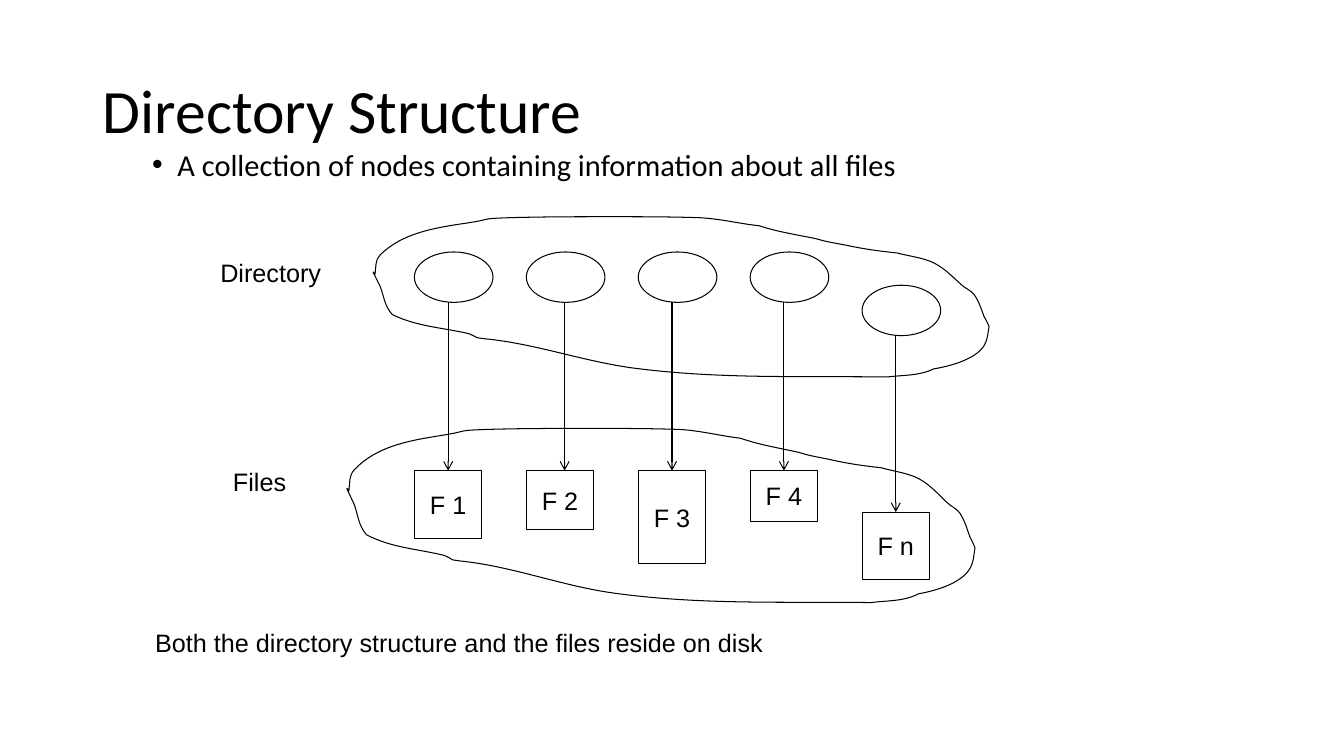
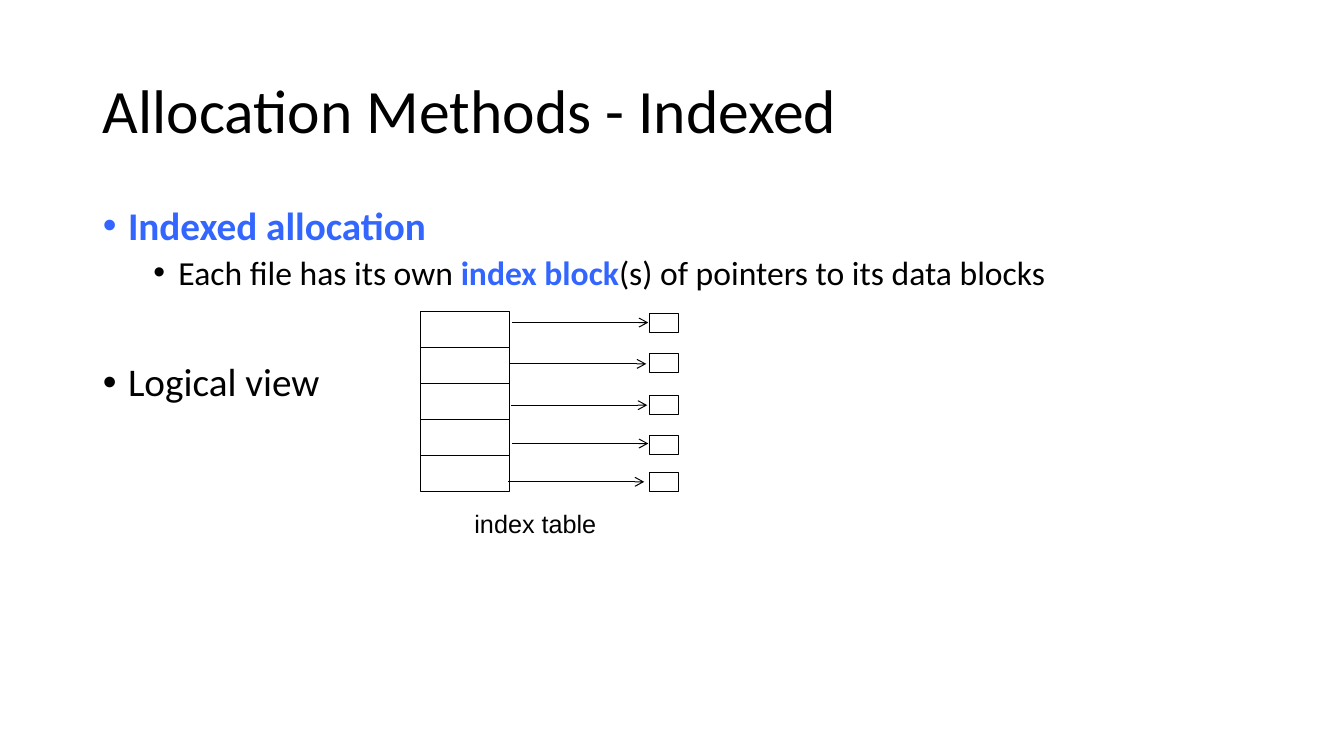
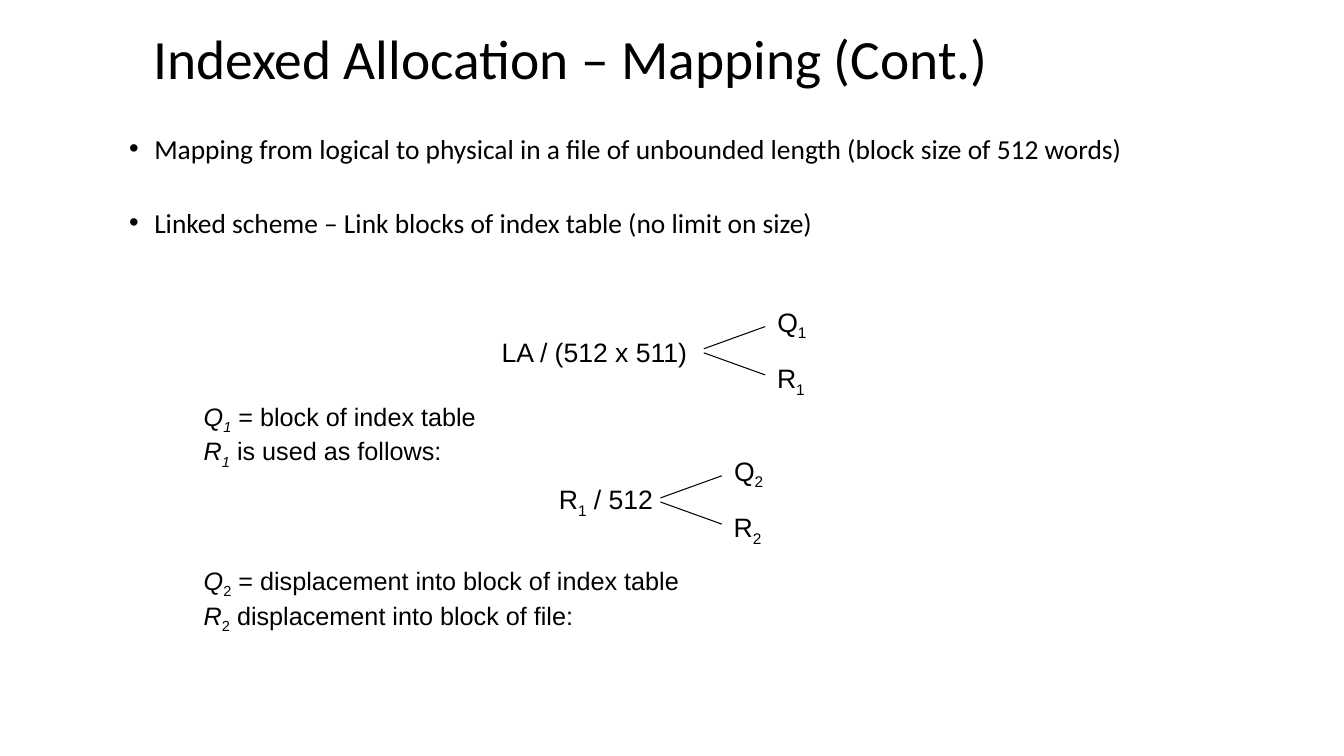
from lxml import etree
from pptx import Presentation
from pptx.dml.color import RGBColor
from pptx.enum.shapes import MSO_CONNECTOR, MSO_SHAPE
from pptx.enum.text import MSO_ANCHOR, MSO_AUTO_SIZE, PP_ALIGN
from pptx.oxml.ns import qn
from pptx.util import Inches, Pt

OVAL, RECT = MSO_SHAPE.OVAL, MSO_SHAPE.RECTANGLE
STRAIGHT = MSO_CONNECTOR.STRAIGHT
LEFT, CENTER = PP_ALIGN.LEFT, PP_ALIGN.CENTER
TOP, MIDDLE = MSO_ANCHOR.TOP, MSO_ANCHOR.MIDDLE
FIXED, GROW = MSO_AUTO_SIZE.NONE, MSO_AUTO_SIZE.SHAPE_TO_FIT_TEXT
TOP_SIDE = 0

BLACK, WHITE, KEY_BLUE = "000000", "FFFFFF", "3366FF"
HEADING_FONT, DIAGRAM_FONT = "Calibri", "Arial"
INSET, WIDE_INSET = (0.1, 0.05), (0.12, 0.06)
TITLE_BOX = (0.92, 0.4, 11.5, 1.45)

# Runs are (text, marks): i italic, s subscript, k key term.
# Bullets are (runs, level, space before in points).
NODE_BULLETS = [([("A collection of nodes containing information about all files", "")], 0, 0)]
INDEXED_BULLETS = [
    ([("Indexed allocation", "k")], 0, 0),
    ([("Each file has its own ", ""), ("index block", "k"),
      ("(s) of pointers to its data blocks", "")], 1, 5),
    ([("Logical view", "")], 0, 50.5),
]
MAPPING_BULLETS = [
    ([("Mapping from logical to physical in a file of unbounded length "
       "(block size of 512 words)", "")], 0, 0),
    ([("Linked scheme – Link blocks of index table (no limit on size)", "")], 0, 36.7),
]

# name, node top, file top, file height, arrow position
FILES = [("F 1", 2.5, 4.67, 0.67, 4.44), ("F 2", 2.5, 4.67, 0.58, 5.6),
         ("F 3", 2.5, 4.67, 0.92, 6.67), ("F 4", 2.5, 4.67, 0.5, 7.78),
         ("F n", 2.83, 5.08, 0.67, 8.89)]
FILE_LEFT, FILE_PITCH, FILE_WIDTH = 4.11, 1.11, 0.67
NODE_WIDTH, NODE_HEIGHT = 0.78, 0.5

DIRECTORY_CLOUD = (3.7, 2.15, 6.1, 1.61)
FILES_CLOUD = (3.44, 4.25, 6.22, 1.75)
CLOUD_START = (3.72, 2.72)
# Bezier curves drawn in the directory cloud's place: two handles and an end
CLOUD_CURVES = [
    (3.73, 2.65, 3.72, 2.58, 3.77, 2.53), (3.99, 2.31, 4.31, 2.26, 4.65, 2.21),
    (4.9, 2.17, 4.76, 2.17, 5.05, 2.16), (5.39, 2.15, 5.72, 2.15, 6.06, 2.15),
    (6.35, 2.15, 6.65, 2.15, 6.94, 2.16), (7.14, 2.17, 7.34, 2.22, 7.53, 2.24),
    (7.71, 2.3, 7.91, 2.33, 8.1, 2.37), (8.2, 2.4, 8.27, 2.41, 8.38, 2.43),
    (8.56, 2.47, 8.71, 2.49, 8.9, 2.51), (9.01, 2.54, 9.11, 2.55, 9.22, 2.59),
    (9.35, 2.64, 9.44, 2.74, 9.53, 2.82), (9.57, 2.86, 9.63, 2.88, 9.66, 2.92),
    (9.71, 2.99, 9.73, 3.06, 9.76, 3.14), (9.78, 3.17, 9.81, 3.24, 9.81, 3.24),
    (9.8, 3.28, 9.8, 3.37, 9.76, 3.43), (9.68, 3.56, 9.44, 3.63, 9.26, 3.66),
    (9.12, 3.73, 8.96, 3.72, 8.8, 3.74), (7.94, 3.73, 7.17, 3.76, 6.35, 3.66),
    (5.82, 3.6, 5.33, 3.41, 4.8, 3.36), (4.78, 3.36, 4.75, 3.35, 4.73, 3.35),
    (4.71, 3.34, 4.68, 3.32, 4.65, 3.31), (4.39, 3.25, 4.13, 3.24, 3.89, 3.12),
    (3.81, 3.03, 3.81, 2.94, 3.77, 2.84), (3.77, 2.84, 3.71, 2.72, 3.7, 2.7),
    (3.7, 2.69, 3.72, 2.71, 3.72, 2.72),
]

INDEX_LEFT, INDEX_TOP, INDEX_WIDTH, INDEX_HEIGHT = 4.17, 3.09, 0.88, 1.79
BLOCK_LEFT, BLOCK_WIDTH, BLOCK_HEIGHT = 6.44, 0.29, 0.19
POINTER_LENGTH = 1.35
# block top, pointer start
INDEX_ENTRIES = [(3.11, (5.08, 3.2)), (3.51, (5.06, 3.61)), (3.92, (5.07, 4.02)),
                 (4.32, (5.08, 4.4)), (4.69, (5.04, 4.78))]

# dividend runs, left, width, fork point, subscript of quotient and remainder
DIVISIONS = [
    ([("LA / (512 x 511)", "")], 4.84, 2.11, (6.98, 3.48), "1"),
    ([("R", ""), ("1", "s"), (" / 512", "")], 5.41, 1.2, (6.55, 4.96), "2"),
]
EXPLANATIONS = [
    (3.92, [[("Q", "i"), ("1", "is"), (" = block of index table", "")],
            [("R", "i"), ("1", "is"), (" is used as follows:", "")]]),
    (5.55, [[("Q", "i"), ("2", "s"), (" = displacement into block of index table", "")],
            [("R", "i"), ("2", "s"), (" displacement into block of file:", "")]]),
]


def rgb(color):
    return RGBColor.from_string(color)


def inches(values):
    return [Inches(value) for value in values]


def place(shape, box):
    shape.left, shape.top, shape.width, shape.height = inches(box)


def set_indent(paragraph, margin, first, bullet=None):
    properties = paragraph._p.get_or_add_pPr()
    properties.set("marL", str(Inches(margin)))
    properties.set("indent", str(Inches(first)))
    if bullet:
        etree.SubElement(properties, qn("a:buFont")).set("typeface", "Arial")
        etree.SubElement(properties, qn("a:buChar")).set("char", bullet)


def write(paragraph, runs, size, font=DIAGRAM_FONT, align=LEFT):
    paragraph.alignment = align
    all_key = all("k" in marks for _, marks in runs)
    paragraph.font.name, paragraph.font.size = font, Pt(size)
    paragraph.font.color.rgb = rgb(KEY_BLUE if all_key else BLACK)
    paragraph.font.bold = all_key
    for text, marks in runs:
        run = paragraph.add_run()
        run.text = text
        if "i" in marks:
            run.font.italic = True
        if "s" in marks:
            run._r.get_or_add_rPr().set("baseline", "-25000")
        if "k" in marks and not all_key:
            run.font.bold = True
            run.font.color.rgb = rgb(KEY_BLUE)


def start_slide(deck, title, bullets, body_box, sizes, spacing, title_box=TITLE_BOX, title_size=44):
    """Add a slide with title and bullets; sizes holds one font size per level."""
    slide = deck.slides.add_slide(deck.slide_layouts[1])
    heading, body = slide.placeholders
    for placeholder, box, anchor in ((heading, title_box, MIDDLE), (body, body_box, TOP)):
        place(placeholder, box)
        placeholder.text_frame.auto_size = FIXED
        placeholder.text_frame.vertical_anchor = anchor
    paragraph = heading.text_frame.paragraphs[0]
    paragraph.line_spacing = 0.9
    write(paragraph, [(title, "")], title_size, HEADING_FONT)
    for number, (runs, level, before) in enumerate(bullets):
        frame = body.text_frame
        paragraph = frame.add_paragraph() if number else frame.paragraphs[0]
        paragraph.level = level
        set_indent(paragraph, 0.25 + 0.5 * level, -0.25, "•")
        paragraph.line_spacing, paragraph.space_before = spacing, Pt(before)
        write(paragraph, runs, sizes[level], HEADING_FONT)
    return slide


def add_text(slide, box, lines, size=18, inset=INSET, indent=None):
    """Add a wrapping, left-aligned text box."""
    frame = slide.shapes.add_textbox(*inches(box)).text_frame
    frame.word_wrap = True
    frame.margin_left = frame.margin_right = Inches(inset[0])
    frame.margin_top = frame.margin_bottom = Inches(inset[1])
    for number, runs in enumerate(lines):
        paragraph = frame.add_paragraph() if number else frame.paragraphs[0]
        if indent:
            set_indent(paragraph, *indent)
        write(paragraph, runs, size)
    return frame


def add_label(slide, box, runs, size=18, inset=WIDE_INSET):
    """Add a centred one-line label that fits its text."""
    frame = add_text(slide, box, [runs], size, inset)
    frame.word_wrap, frame.auto_size = False, GROW
    frame.vertical_anchor = MIDDLE
    frame.paragraphs[0].alignment = CENTER


def outline(shape):
    shape.shadow.inherit = False
    shape.line.color.rgb = rgb(BLACK)
    shape.line.width = Pt(0.75)


def add_box(slide, kind, box, name=None):
    shape = slide.shapes.add_shape(kind, *inches(box))
    shape.fill.solid()
    shape.fill.fore_color.rgb = rgb(WHITE)
    outline(shape)
    if name:
        shape.text_frame.word_wrap = False
        shape.text_frame.vertical_anchor = MIDDLE
        write(shape.text_frame.paragraphs[0], [(name, "")], 18, align=CENTER)
    return shape


def add_line(slide, start, end, arrow=False):
    connector = slide.shapes.add_connector(STRAIGHT, *inches(start + end))
    connector.line.color.rgb = rgb(BLACK)
    connector.line.width = Pt(0.75)
    if arrow:
        etree.SubElement(connector.get_or_add_ln(), qn("a:tailEnd")).set("type", "arrow")
    etree.SubElement(connector._element.spPr, qn("a:effectLst"))
    return connector


def bend_lines(shape):
    """Turn every three line segments into one Bezier curve."""
    segments = list(shape._element.iter(qn("a:lnTo")))
    for first in range(0, len(segments), 3):
        curve = etree.Element(qn("a:cubicBezTo"))
        segments[first].addprevious(curve)
        for segment in segments[first:first + 3]:
            curve.append(segment[0])
            segment.getparent().remove(segment)


def add_cloud(slide, box):
    left, top, width, height = box
    base_left, base_top, base_width, base_height = DIRECTORY_CLOUD
    corners = [CLOUD_START] + [curve[i:i + 2] for curve in CLOUD_CURVES for i in (0, 2, 4)]
    points = [inches((left + (x - base_left) * width / base_width,
                      top + (y - base_top) * height / base_height))
              for x, y in corners]
    builder = slide.shapes.build_freeform(*points[0])
    builder.add_line_segments(points[1:], close=True)
    cloud = builder.convert_to_shape()
    bend_lines(cloud)
    cloud.fill.background()
    outline(cloud)


def directory_slide(deck):
    slide = start_slide(deck, "Directory Structure", NODE_BULLETS,
                        (1.41, 1.5, 10.75, 0.39), [21.7], 0.7)
    for column, (name, node_top, file_top, file_height, arrow_x) in enumerate(FILES):
        left = FILE_LEFT + column * FILE_PITCH
        add_box(slide, OVAL, (left, node_top, NODE_WIDTH, NODE_HEIGHT))
        file_box = add_box(slide, RECT, (left, file_top, FILE_WIDTH, file_height), name)
        arrow = add_line(slide, (arrow_x, node_top + NODE_HEIGHT), (arrow_x, file_top), arrow=True)
        if abs(arrow_x - left - FILE_WIDTH / 2) < 0.02:
            arrow.end_connect(file_box, TOP_SIDE)
            arrow.begin_x = arrow.end_x
    for cloud in (DIRECTORY_CLOUD, FILES_CLOUD):
        add_cloud(slide, cloud)
    add_label(slide, (2.08, 2.5, 1.21, 0.4), [("Directory", "")], inset=INSET)
    add_label(slide, (2.21, 4.58, 0.73, 0.4), [("Files", "")], inset=INSET)
    add_text(slide, (1.44, 6.17, 11.09, 0.42),
             [[("Both the directory structure and the files reside on disk", "")]])


def indexed_slide(deck):
    slide = start_slide(deck, "Allocation Methods - Indexed", INDEXED_BULLETS,
                        (0.92, 2, 11.5, 4.76), [28, 24], 0.9)
    row_height = INDEX_HEIGHT / len(INDEX_ENTRIES)
    for row, (block_top, (x, y)) in enumerate(INDEX_ENTRIES):
        row_top = INDEX_TOP + row * row_height
        add_box(slide, RECT, (INDEX_LEFT, row_top, INDEX_WIDTH, row_height))
        add_box(slide, RECT, (BLOCK_LEFT, block_top, BLOCK_WIDTH, BLOCK_HEIGHT))
        add_line(slide, (x, y), (x + POINTER_LENGTH, y), arrow=True)
    add_label(slide, (4.58, 4.98, 1.46, 0.42), [("index table", "")])


def mapping_slide(deck):
    slide = start_slide(deck, "Indexed Allocation – Mapping (Cont.)", MAPPING_BULLETS,
                        (1.18, 1.35, 11.13, 1.29), [19.6], 0.7,
                        title_box=(1.42, 0.3, 11.25, 0.63), title_size=39.6)
    for dividend, left, width, (x, y), subscript in DIVISIONS:
        add_label(slide, (left, y - 0.21, width, 0.44), dividend, 19)
        for letter, label_width, side in (("Q", 0.55, -1), ("R", 0.53, 1)):
            add_label(slide, (x + 0.6, y - 0.21 + side * 0.28, label_width, 0.44),
                      [(letter, ""), (subscript, "s")], 19)
            add_line(slide, (x, y + side * 0.02), (x + 0.61, y + side * 0.24))
    for top, lines in EXPLANATIONS:
        add_text(slide, (1.45, top, 10.25, 0.81), lines, inset=WIDE_INSET, indent=(0.82, -0.37))


def main():
    deck = Presentation()
    deck.slide_width, deck.slide_height = Inches(13.33), Inches(7.5)
    directory_slide(deck)
    indexed_slide(deck)
    mapping_slide(deck)
    deck.save("out.pptx")


if __name__ == "__main__":
    main()
